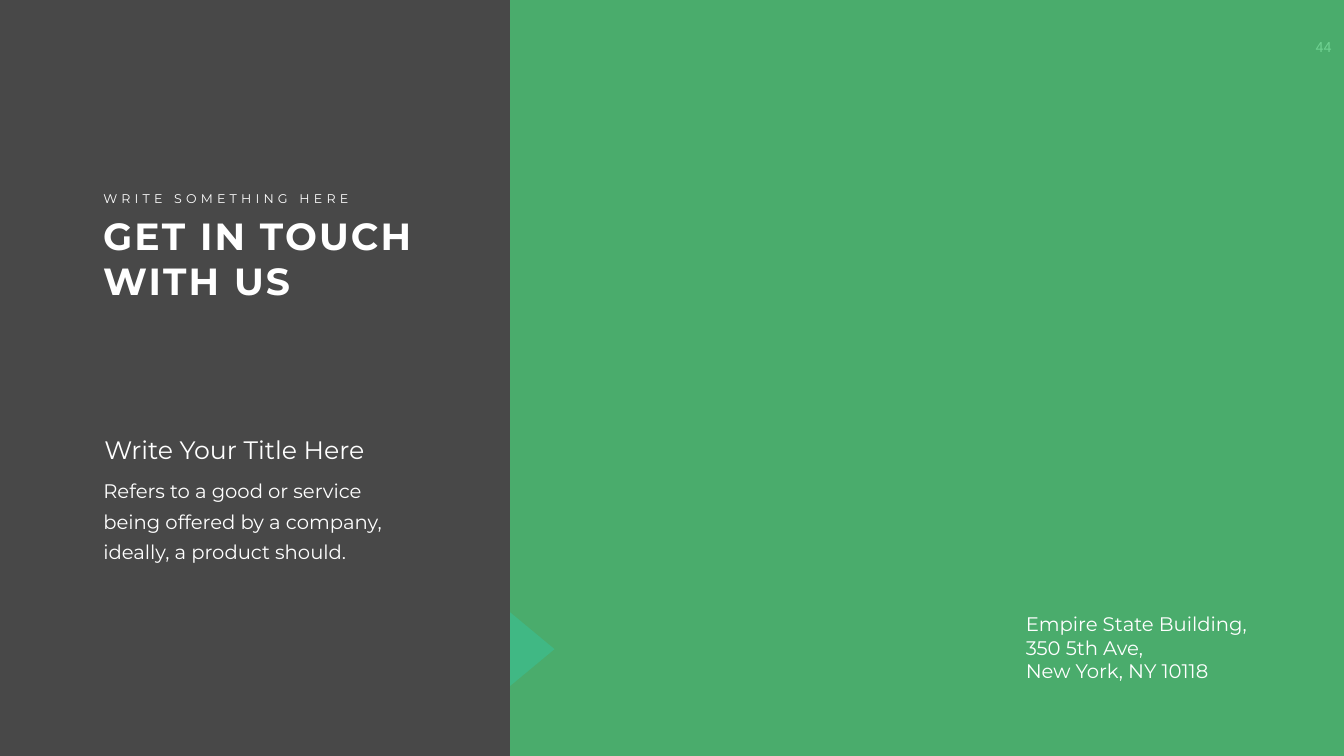
from lxml import etree
from pptx import Presentation
from pptx.dml.color import RGBColor
from pptx.enum.shapes import MSO_SHAPE
from pptx.enum.text import PP_ALIGN
from pptx.oxml.ns import qn
from pptx.util import Inches, Pt

RECT = MSO_SHAPE.RECTANGLE
TRIANGLE = MSO_SHAPE.ISOSCELES_TRIANGLE
LEFT, CENTER = PP_ALIGN.LEFT, PP_ALIGN.CENTER
WIDTH, HEIGHT = 26.66, 15
SPLIT = 10.12


def color(code):
    return RGBColor.from_string(code)


class Deck:
    """Holds the text style and the current slide."""

    font = "Montserrat"
    ink = "FFFFFF"

    def __init__(self):
        self.file = Presentation()
        self.file.slide_width = Inches(WIDTH)
        self.file.slide_height = Inches(HEIGHT)
        self.slide = self.file.slides.add_slide(self.file.slide_layouts[6])

    def back(self, fill):
        paint = self.slide.background.fill
        paint.solid()
        paint.fore_color.rgb = color(fill)

    def shape(self, kind, box, fill, alpha=100, turn=0):
        """Draw a borderless shape; alpha is its opacity in percent."""
        item = self.slide.shapes.add_shape(kind, *map(Inches, box))
        item.shadow.inherit = False
        item.line.fill.background()
        item.rotation = turn
        item.fill.solid()
        item.fill.fore_color.rgb = color(fill)
        if alpha < 100:
            tint = item.fill._xPr.find(".//" + qn("a:srgbClr"))
            etree.SubElement(tint, qn("a:alpha"), val=str(alpha * 1000))

    def text(self, words, box, size, font=None, bold=False, track=0,
             align=LEFT, line=None, pad=(0.1, 0.05), wrap=True):
        """Write one paragraph per line; track is letter spacing in points."""
        frame = self.slide.shapes.add_textbox(*map(Inches, box)).text_frame
        frame.word_wrap = wrap
        frame.margin_left = frame.margin_right = Inches(pad[0])
        frame.margin_top = frame.margin_bottom = Inches(pad[1])
        frame.text = words
        for para in frame.paragraphs:
            para.alignment = align
            if line:
                para.line_spacing = Pt(line)
            for run in para.runs:
                run.font.name = font or self.font
                run.font.size = Pt(size)
                run.font.bold = bold
                run.font.color.rgb = color(self.ink)
                if track:
                    run.font._element.set("spc", str(track * 100))


def main():
    deck = Deck()
    deck.back("484848")

    # The page number shows through the translucent panel
    deck.text("44", (25.8, 0.67, 0.91, 0.54), 20, font="Roboto",
              align=CENTER, pad=(0.2, 0.1), wrap=False)
    deck.shape(RECT, (SPLIT, 0, WIDTH - SPLIT, HEIGHT), "4BC676", alpha=80)

    deck.text("GET IN TOUCH WITH US", (1.95, 4.17, 6.97, 1.92), 54,
              bold=True, track=3)
    deck.text("WRITE SOMETHING HERE", (1.95, 3.74, 5.18, 0.4), 18,
              track=6, wrap=False)

    deck.text("Refers to a good or service being offered by a company, "
              "ideally, a product should.", (1.81, 9.26, 6.27, 2), 28,
              line=43, pad=(0.24, 0.12))
    deck.text("Write Your Title Here", (1.97, 8.56, 6.1, 0.71), 36)

    deck.text("Empire State Building, 350 5th Ave,\nNew York, NY 10118",
              (20.25, 12.1, 4.97, 1.51), 28)
    deck.shape(TRIANGLE, (9.83, 12.44, 1.46, 0.88), "40B884", turn=90)

    deck.file.save("out.pptx")


if __name__ == "__main__":
    main()
